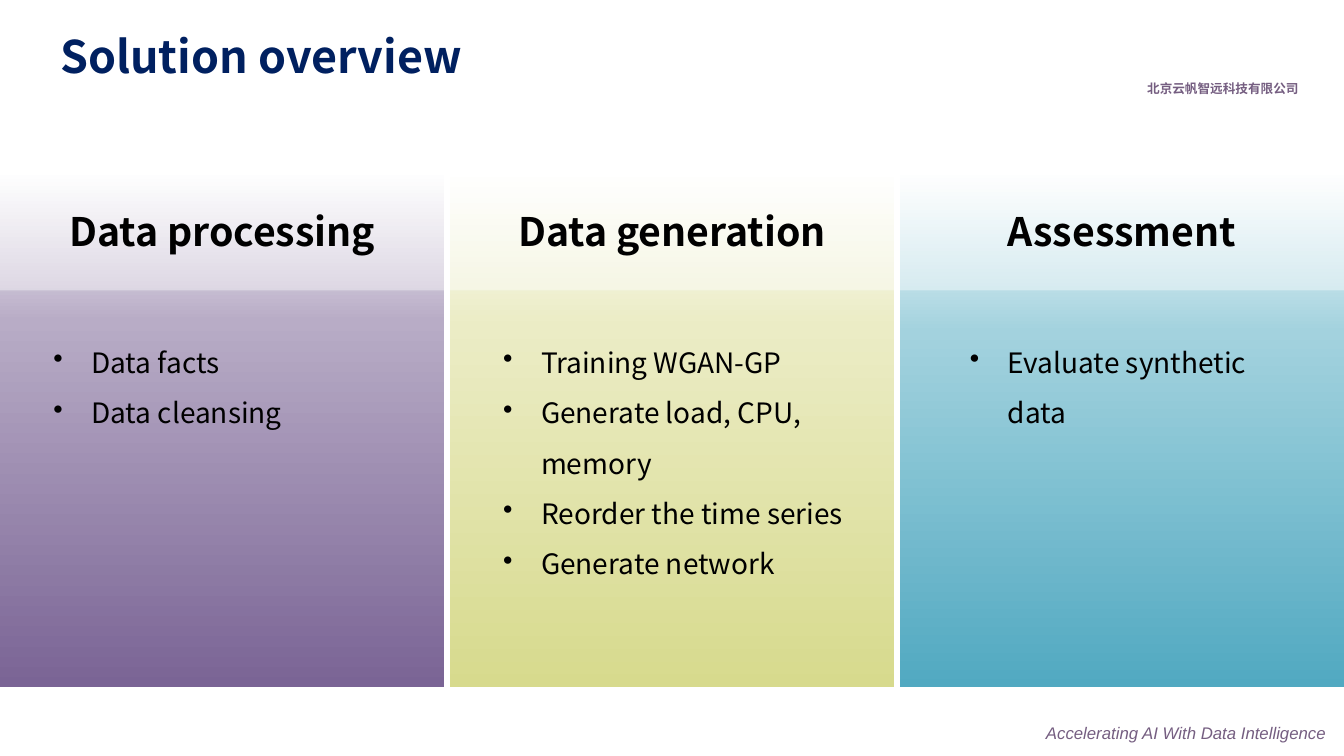
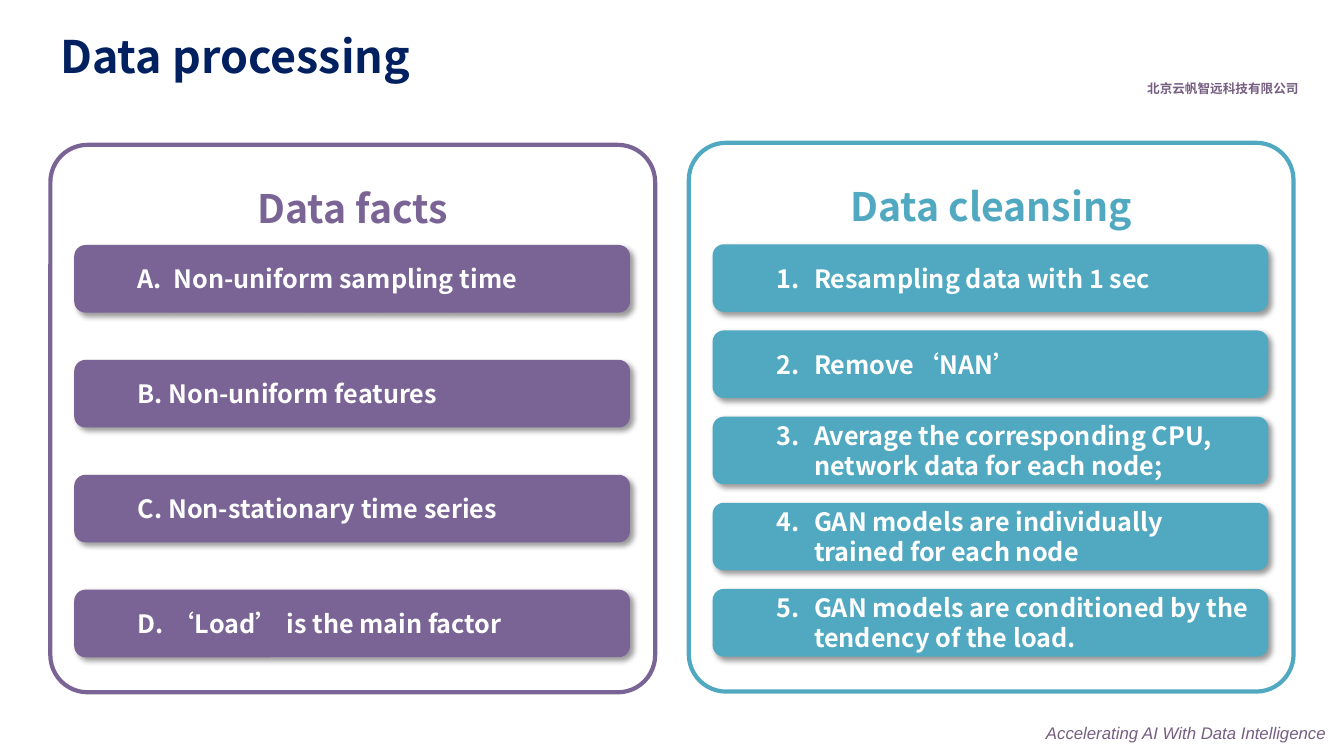
from lxml.etree import SubElement
from pptx import Presentation
from pptx.dml.color import RGBColor
from pptx.enum.shapes import MSO_SHAPE
from pptx.enum.text import MSO_ANCHOR, PP_ALIGN
from pptx.oxml.ns import qn
from pptx.util import Pt

WIDTH, HEIGHT = 960, 540
NAVY = RGBColor(0x00, 0x20, 0x60)
MAUVE = RGBColor(0x75, 0x5E, 0x81)
PURPLE = RGBColor(0x7A, 0x64, 0x95)
LILAC = RGBColor(0xB8, 0xAC, 0xC6)
OLIVE = RGBColor(0xD7, 0xDA, 0x8D)
CREAM = RGBColor(0xEB, 0xEC, 0xC5)
TEAL = RGBColor(0x51, 0xA9, 0xC1)
SKY = RGBColor(0xA3, 0xD2, 0xDE)
WHITE = RGBColor(0xFF, 0xFF, 0xFF)
BLACK = RGBColor(0x00, 0x00, 0x00)

SANS, ARIAL = "Noto Sans CJK SC", "Arial"
COMPANY = dict(name=ARIAL, size=Pt(9), bold=True)
TAGLINE = dict(name=ARIAL, size=Pt(12), italic=True)
TITLE = dict(name=SANS, size=Pt(32), bold=True)
HEADING = dict(name=SANS, size=Pt(28), bold=True)
BODY = dict(name=SANS, size=Pt(20))
BAR = dict(name=SANS, size=Pt(18), bold=True)


# Basic helpers
def add_xml(parent, tag, **attrs):
    return SubElement(parent, qn(tag), {k: str(v) for k, v in attrs.items()})


def write(sp, lines, style, color, align=PP_ALIGN.LEFT,
          anchor=MSO_ANCHOR.TOP, spacing=None):
    tf = sp.text_frame
    tf.word_wrap = True
    tf.vertical_anchor = anchor
    for i, line in enumerate(lines):
        p = tf.paragraphs[0] if i == 0 else tf.add_paragraph()
        p.alignment = align
        p.line_spacing = spacing
        r = p.add_run()
        r.text = line
        for key, value in style.items():
            setattr(r.font, key, value)
        r.font.color.rgb = color
        add_xml(r.font._element, "a:ea", typeface=style["name"])
    return tf.paragraphs


def indent(p, left, first=0, bullet=None, **attrs):
    pPr = p._p.get_or_add_pPr()
    pPr.set("marL", str(Pt(left)))
    pPr.set("indent", str(Pt(first)))
    if bullet:
        add_xml(pPr, bullet, **attrs)


def add_text(shapes, box, lines, style, color, **layout):
    sp = shapes.add_textbox(*map(Pt, box))
    return write(sp, lines, style, color, **layout)


def add_box(shapes, kind, box, fill=None, line=None):
    sp = shapes.add_shape(kind, *map(Pt, box))
    sp.shadow.inherit = False
    if fill is None:
        sp.fill.background()
    else:
        sp.fill.solid()
        sp.fill.fore_color.rgb = fill
    if line is None:
        sp.line.fill.background()
    else:
        sp.line.color.rgb = line
        sp.line.width = Pt(3)
    return sp


def set_gradient(sp, stops):
    sp.fill.gradient()
    sp.fill.gradient_angle = 270
    gs_list = next(sp._element.spPr.iter(qn("a:gsLst")))
    for gs in list(gs_list):
        gs_list.remove(gs)
    for pos, color in stops:
        gs = add_xml(gs_list, "a:gs", pos=pos * 1000)
        add_xml(gs, "a:srgbClr", val=color)


def set_alpha(sp, percent):
    clr = next(sp._element.spPr.iter(qn("a:srgbClr")))
    add_xml(clr, "a:alpha", val=percent * 1000)


def drop_shadow(sp):
    effects = sp._element.spPr.find(qn("a:effectLst"))
    shadow = add_xml(effects, "a:outerShdw", blurRad=Pt(4), dist=Pt(3),
                     dir=45 * 60000, algn="tl", rotWithShape=0)
    clr = add_xml(shadow, "a:srgbClr", val=BLACK)
    add_xml(clr, "a:alpha", val=40000)


# Parts shared by every slide
def new_slide(prs, title):
    s = prs.slides.add_slide(prs.slide_layouts[6])
    add_text(s.shapes, (810, 47.5, 124.5, 31.7), ["北京云帆智远科技有限公司"],
             COMPANY, MAUVE, align=PP_ALIGN.RIGHT, anchor=MSO_ANCHOR.MIDDLE)
    add_text(s.shapes, (740, 512.6, 220, 22),
             ["Accelerating AI With Data Intelligence"], TAGLINE, MAUVE)
    add_text(s.shapes, (36, 7.2, 887, 69.8), [title], TITLE, NAVY,
             anchor=MSO_ANCHOR.MIDDLE, spacing=0.9)
    return s


# Overview slide: three gradient columns under a pale header band
def add_column(s, box, stops):
    set_gradient(add_box(s.shapes, MSO_SHAPE.RECTANGLE, box, WHITE), stops)


def add_column_text(s, box, heading, items, inset):
    x, y, w, h = box
    add_text(s.shapes, (x + 31, y + 7, w - 62, 70.6), [heading], HEADING, BLACK,
             align=PP_ALIGN.CENTER, anchor=MSO_ANCHOR.MIDDLE)
    for p in add_text(s.shapes, (x + inset, y + 108.7, 298 - inset, 240),
                      items, BODY, BLACK, spacing=1.5):
        indent(p, 27, -27, "a:buChar", char="•")


def overview_slide(prs):
    s = new_slide(prs, "Solution overview")
    columns = [
        ("Data processing", ["Data facts", "Data cleansing"],
         31, (29, LILAC), PURPLE),
        ("Data generation",
         ["Training WGAN-GP", "Generate load, CPU, memory",
          "Reorder the time series", "Generate network"],
         31, (30, CREAM), OLIVE),
        ("Assessment", ["Evaluate synthetic data"], 43, (31, SKY), TEAL),
    ]
    top, height, gap = 122.4, 368.6, 4
    width = (WIDTH - 2 * gap) / 3
    boxes = [(i * (width + gap), top, width, height) for i in range(3)]
    for box, (_, _, _, middle, end) in zip(boxes, columns):
        add_column(s, box, [(0, WHITE), middle, (100, end)])
    band = add_box(s.shapes, MSO_SHAPE.RECTANGLE, (0, top, WIDTH, 85), WHITE)
    set_alpha(band, 40)
    for box, (heading, items, inset, _, _) in zip(boxes, columns):
        add_column_text(s, box, heading, items, inset)


# Processing slide: framed panels with evenly spread bars
def add_panel(s, box, heading, items, color, numbered=False):
    x, y, w, h = box
    shapes = s.shapes.add_group_shape().shapes
    frame = add_box(shapes, MSO_SHAPE.ROUNDED_RECTANGLE, box, line=color)
    frame.adjustments[0] = 0.068
    write(frame, [heading], HEADING, color, align=PP_ALIGN.CENTER, spacing=1.5)

    bar_h, span = 48.3, 294.5
    first = y + h - 25 - span
    pitch = (span - bar_h) / (len(items) - 1)
    for i, item in enumerate(items):
        bar = add_box(shapes, MSO_SHAPE.ROUNDED_RECTANGLE,
                      (x + 17, first + i * pitch, w - 35, bar_h), color)
        drop_shadow(bar)
        p = write(bar, [item], BAR, WHITE, anchor=MSO_ANCHOR.MIDDLE)[0]
        p.level = 1
        if numbered:
            indent(p, 63, -27, "a:buAutoNum", type="arabicPeriod", startAt=i + 1)
        else:
            indent(p, 36)


def processing_slide(prs):
    s = new_slide(prs, "Data processing")
    add_panel(s, (36, 103.5, 432, 391), "Data facts", [
        "A.  Non-uniform sampling time",
        "B. Non-uniform features",
        "C. Non-stationary time series",
        "D. ‘Load’ is the main factor",
    ], PURPLE)
    add_panel(s, (492, 102, 432, 392), "Data cleansing", [
        "Resampling data with 1 sec",
        "Remove‘NAN’",
        "Average the corresponding CPU, network data for each node;",
        "GAN models are individually trained for each node",
        "GAN models are conditioned by the tendency of the load.",
    ], TEAL, numbered=True)


def main():
    prs = Presentation()
    prs.slide_width, prs.slide_height = Pt(WIDTH), Pt(HEIGHT)
    overview_slide(prs)
    processing_slide(prs)
    prs.save("out.pptx")


if __name__ == "__main__":
    main()
